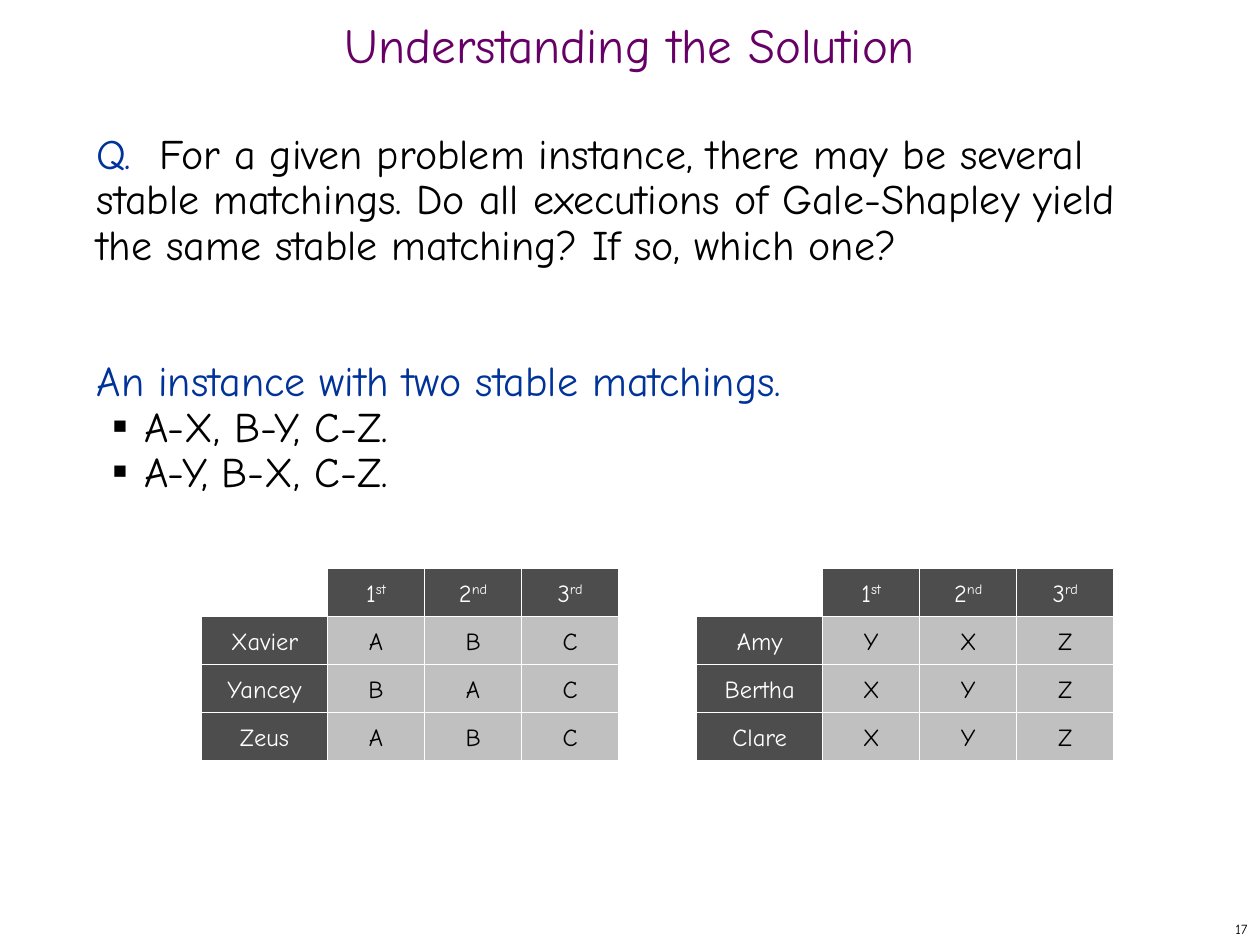
from dataclasses import dataclass

from lxml import etree
from pptx import Presentation
from pptx import util as u
from pptx.dml.color import RGBColor
from pptx.enum import shapes, text
from pptx.oxml import ns

FONT = "Comic Neue"
COLORS = {
    "title": "660066",
    "accent": "003399",
    "ink": "000000",
    "paper": "FFFFFF",
    "header": "4D4D4D",
    "cell": "C0C0C0",
}
LABEL_WIDTH, RANK_WIDTH = 1.0, 0.77
GRID_TOP, ROW_HEIGHT = 4.51, 1.53 / 4
RANKS = [("1", "st"), ("2", "nd"), ("3", "rd")]


@dataclass
class PreferenceGrid:
    left: float
    choices: dict[str, str]


GRIDS = [
    PreferenceGrid(1.6, {"Xavier": "ABC", "Yancey": "BAC", "Zeus": "ABC"}),
    PreferenceGrid(5.53, {"Amy": "YXZ", "Bertha": "XYZ", "Clare": "XYZ"}),
]


def rgb(name: str) -> RGBColor:
    return RGBColor.from_string(COLORS[name])


def add_span(para, words: str, *, size: float, color: str = "ink", raised: bool = False) -> None:
    span = para.add_run()
    span.text = words
    span.font.name = FONT
    span.font.size = u.Pt(size)
    span.font.color.rgb = rgb(color)
    if raised:
        span._r.get_or_add_rPr().set("baseline", "30000")


def add_child(parent, tag: str, **attributes: str):
    return etree.SubElement(parent, ns.qn(tag), attributes)


def add_bullet(para) -> None:
    para.level = 1
    properties = para._p.get_or_add_pPr()
    properties.set("marL", str(u.Inches(0.38)))
    properties.set("indent", str(u.Inches(-0.25)))
    bullet_color = add_child(properties, "a:buClr")
    add_child(bullet_color, "a:srgbClr", val=COLORS["ink"])
    add_child(properties, "a:buSzPct", val="35000")
    add_child(properties, "a:buFont", typeface=FONT)
    add_child(properties, "a:buChar", char="■")


def add_cell(page, grid: PreferenceGrid, row: int, column: int, words: str,
             ending: str = "") -> None:
    """Draw one cell; row 0 and column 0 hold the headers."""
    is_header = row == 0 or column == 0
    offset = LABEL_WIDTH + (column - 1) * RANK_WIDTH if column else 0
    box = page.shapes.add_shape(
        shapes.MSO_SHAPE.RECTANGLE,
        u.Inches(grid.left + offset), u.Inches(GRID_TOP + row * ROW_HEIGHT),
        u.Inches(RANK_WIDTH if column else LABEL_WIDTH), u.Inches(ROW_HEIGHT),
    )
    box.shadow.inherit = False
    box.fill.solid()
    box.fill.fore_color.rgb = rgb("header" if is_header else "cell")
    box.line.color.rgb = rgb("paper")
    box.line.width = u.Pt(0.75)
    box.text_frame.word_wrap = False
    box.text_frame.vertical_anchor = text.MSO_ANCHOR.MIDDLE
    para = box.text_frame.paragraphs[0]
    para.alignment = text.PP_ALIGN.CENTER
    color = "paper" if is_header else "ink"
    add_span(para, words, size=14, color=color)
    if ending:
        add_span(para, ending, size=14, color=color, raised=True)


def add_preferences(page, grid: PreferenceGrid) -> None:
    for column, (number, ending) in enumerate(RANKS, 1):
        add_cell(page, grid, 0, column, number, ending)
    for row, (person, choices) in enumerate(grid.choices.items(), 1):
        for column, words in enumerate([person, *choices]):
            add_cell(page, grid, row, column, words)


def add_title(page) -> None:
    title = page.shapes.title
    title.left, title.top = u.Inches(0), u.Inches(0.16)
    title.width, title.height = u.Inches(10), u.Inches(0.5)
    title.text_frame.vertical_anchor = text.MSO_ANCHOR.MIDDLE
    para = title.text_frame.paragraphs[0]
    para.alignment = text.PP_ALIGN.CENTER
    para.line_spacing = 0.7
    add_span(para, "Understanding the Solution", size=28, color="title")


def add_body(page) -> None:
    box = page.shapes.add_textbox(u.Inches(0.67), u.Inches(1), u.Inches(8.58), u.Inches(5.92))
    frame = box.text_frame
    frame.word_wrap = True
    question = frame.paragraphs[0]
    add_span(question, "Q.  ", size=24, color="accent")
    add_span(question, "For a given problem instance, there may be several stable matchings. "
             "Do all executions of Gale-Shapley yield the same stable matching? "
             "If so, which one?", size=24)
    heading = frame.add_paragraph()
    heading.space_before = u.Pt(52)
    add_span(heading, "An instance with two stable matchings.", size=24, color="accent")
    for matching in ("A-X, B-Y, C-Z.", "A-Y, B-X, C-Z."):
        para = frame.add_paragraph()
        add_bullet(para)
        add_span(para, matching, size=24)
    for para in frame.paragraphs:
        para.line_spacing = u.Pt(26)


def add_page_number(page) -> None:
    box = page.shapes.add_textbox(u.Inches(7.92), u.Inches(7.25), u.Inches(2.08), u.Inches(0.25))
    box.text_frame.word_wrap = True
    box.text_frame.vertical_anchor = text.MSO_ANCHOR.MIDDLE
    para = box.text_frame.paragraphs[0]
    para.alignment = text.PP_ALIGN.RIGHT
    add_span(para, "17", size=8)


def main() -> None:
    deck = Presentation()
    deck.slide_width, deck.slide_height = u.Inches(10), u.Inches(7.5)
    page = deck.slides.add_slide(deck.slide_layouts.get_by_name("Title Only"))
    add_page_number(page)
    add_title(page)
    add_body(page)
    for grid in GRIDS:
        add_preferences(page, grid)
    deck.save("out.pptx")


if __name__ == "__main__":
    main()
